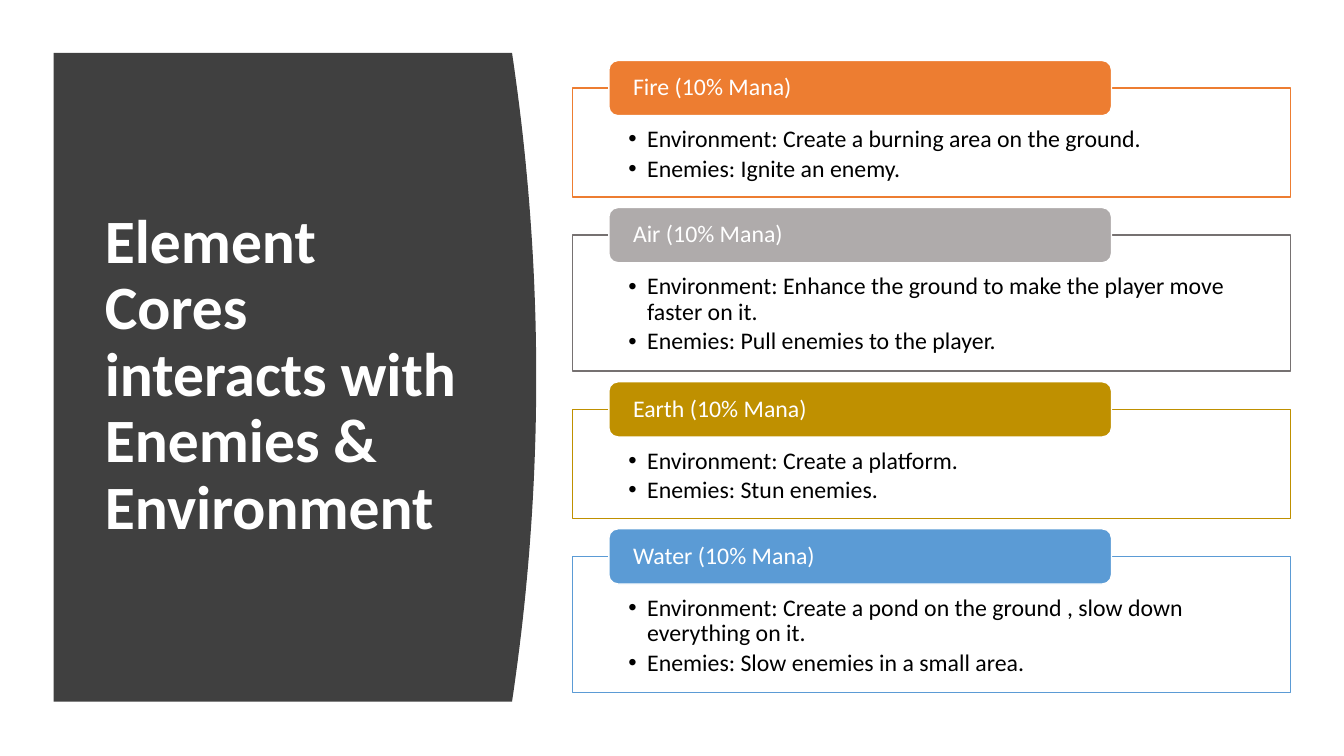
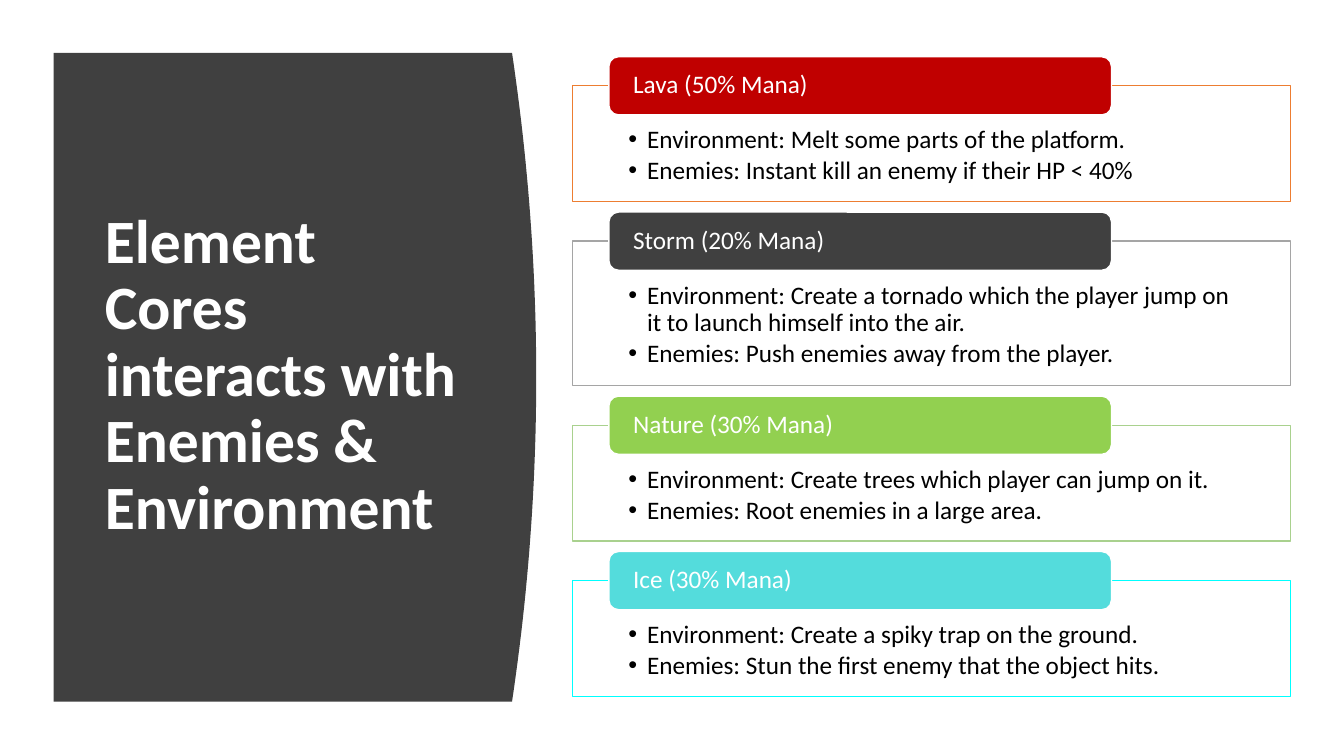
from dataclasses import dataclass

from lxml import etree
from pptx import Presentation
from pptx import util as u
from pptx.dml.color import RGBColor
from pptx.enum import shapes, text
from pptx.oxml.ns import qn

WIDE, HIGH = 13.33, 7.5
FACE = "Calibri"
DARK, WHITE, BLACK = "404040", "FFFFFF", "000000"
HEAD = "Element Cores interacts with Enemies & Environment"


@dataclass
class Card:
    name: str
    fill: str
    edge: str
    place: str
    foes: str
    tall: bool = False


@dataclass
class Page:
    size: int
    top: float
    tab: float
    low: float
    high: float
    cards: list[Card]


PAGES = [
    Page(17, 8, 7.3, 14.4, 18, [
        Card("Fire (10% Mana)", "ED7D31", "ED7D31",
             "Create a burning area on the ground.", "Ignite an enemy."),
        Card("Air (10% Mana)", "AFABAB", "767171",
             "Enhance the ground to make the player move faster on it.",
             "Pull enemies to the player.", True),
        Card("Earth (10% Mana)", "BF9000", "BF9000",
             "Create a platform.", "Stun enemies."),
        Card("Water (10% Mana)", "5B9BD5", "5B9BD5",
             "Create a pond on the ground , slow down everything on it.",
             "Slow enemies in a small area.", True),
    ]),
    Page(18, 7.5, 7.7, 15.3, 19.1, [
        Card("Lava (50% Mana)", "C00000", "ED7D31",
             "Melt some parts of the platform.",
             "Instant kill an enemy if their HP < 40%"),
        Card("Storm (20% Mana)", DARK, "A5A5A5",
             "Create a tornado which the player jump on it to launch himself into the air.",
             "Push enemies away from the player.", True),
        Card("Nature (30% Mana)", "92D050", "A9D18E",
             "Create trees which player can jump on it.",
             "Root enemies in a large area."),
        Card("Ice (30% Mana)", "54DCDC", "00FFFF",
             "Create a spiky trap on the ground.",
             "Stun the first enemy that the object hits."),
    ]),
]


def col(n: float) -> int:
    return u.Inches(WIDE * n / 100)


def row(n: float) -> int:
    return u.Inches(HIGH * n / 100)


def paint(part, hue: str) -> None:
    part.solid()
    part.fore_color.rgb = RGBColor.from_string(hue)


def place(shape, left: float, top: float, width: float, height: float) -> None:
    shape.left, shape.top = col(left), row(top)
    shape.width, shape.height = col(width), row(height)


def trim(shape, fill: str, edge: str) -> None:
    paint(shape.fill, fill)
    paint(shape.line.fill, edge)
    shape.line.width = u.Pt(1)


def write(shape, words: str, size: int, hue: str, anchor, bold: bool = False) -> None:
    frame = shape.text_frame
    frame.text = words
    frame.word_wrap = True
    frame.auto_size = text.MSO_AUTO_SIZE.NONE
    frame.vertical_anchor = anchor
    for para in frame.paragraphs:
        para.alignment = text.PP_ALIGN.LEFT
        para.line_spacing = 0.9
        para.space_before = u.Pt(0)
        for run in para.runs:
            font = run.font
            font.name, font.size, font.bold = FACE, u.Pt(size), bold
            paint(font.fill, hue)


def inset(shape, side: float, top: float) -> None:
    frame = shape.text_frame
    frame.margin_left = frame.margin_right = col(side)
    frame.margin_top = row(top)
    frame.margin_bottom = 0


def dot(para, size: int) -> None:
    props = para._p.get_or_add_pPr()
    props.set("marL", str(col(1.4)))
    props.set("indent", str(-col(1.4)))
    etree.SubElement(props, qn("a:buFont")).set("typeface", "Arial")
    etree.SubElement(props, qn("a:buChar")).set("char", "•")
    para.space_after = u.Pt(size * 0.15)


def panel(slide) -> None:
    left, edge, bulge = 4, 38.1, 1.8
    top, base, steps = 7, 92.8, 48
    curve = []
    for i in range(steps + 1):
        t = i / steps
        bend = 1 - (2 * t - 1) ** 2
        curve.append((col(edge + bulge * bend), row(top + (base - top) * t)))
    pen = slide.shapes.build_freeform(col(left), row(top))
    pen.add_line_segments(curve + [(col(left), row(base))], close=True)
    shape = pen.convert_to_shape()
    shape.shadow.inherit = False
    paint(shape.fill, DARK)
    shape.line.fill.background()
    title = slide.shapes.title
    title.element.addprevious(shape.element)
    place(title, 7.05, 14.8, 28.05, 69.9)
    write(title, HEAD, 44, WHITE, text.MSO_ANCHOR.MIDDLE, True)


def draw(slide, body, card: Card, page: Page, top: float) -> float:
    start = top + page.tab / 2
    height = page.high if card.tall else page.low
    place(body, 42.6, start, 53.4, height)
    trim(body, WHITE, card.edge)
    words = f"Environment: {card.place}\nEnemies: {card.foes}"
    write(body, words, page.size, BLACK, text.MSO_ANCHOR.TOP)
    inset(body, 4.15, page.tab * 0.71)
    for para in body.text_frame.paragraphs:
        dot(para, page.size)

    tab = slide.shapes.add_shape(shapes.MSO_SHAPE.ROUNDED_RECTANGLE, 0, 0, 0, 0)
    place(tab, 45.3, top, 37.4, page.tab)
    tab.shadow.inherit = False
    trim(tab, card.fill, WHITE)
    write(tab, card.name, page.size, WHITE, text.MSO_ANCHOR.MIDDLE)
    inset(tab, 1.6, 0)
    return start + height + 1.4


def main() -> None:
    deck = Presentation()
    deck.slide_width, deck.slide_height = u.Inches(WIDE), u.Inches(HIGH)
    for page in PAGES:
        slide = deck.slides.add_slide(deck.slide_layouts.get_by_name("Comparison"))
        bodies = list(slide.placeholders)[1:]
        panel(slide)
        top = page.top
        for body, card in zip(bodies, page.cards):
            top = draw(slide, body, card, page, top)
    deck.save("out.pptx")


if __name__ == "__main__":
    main()
